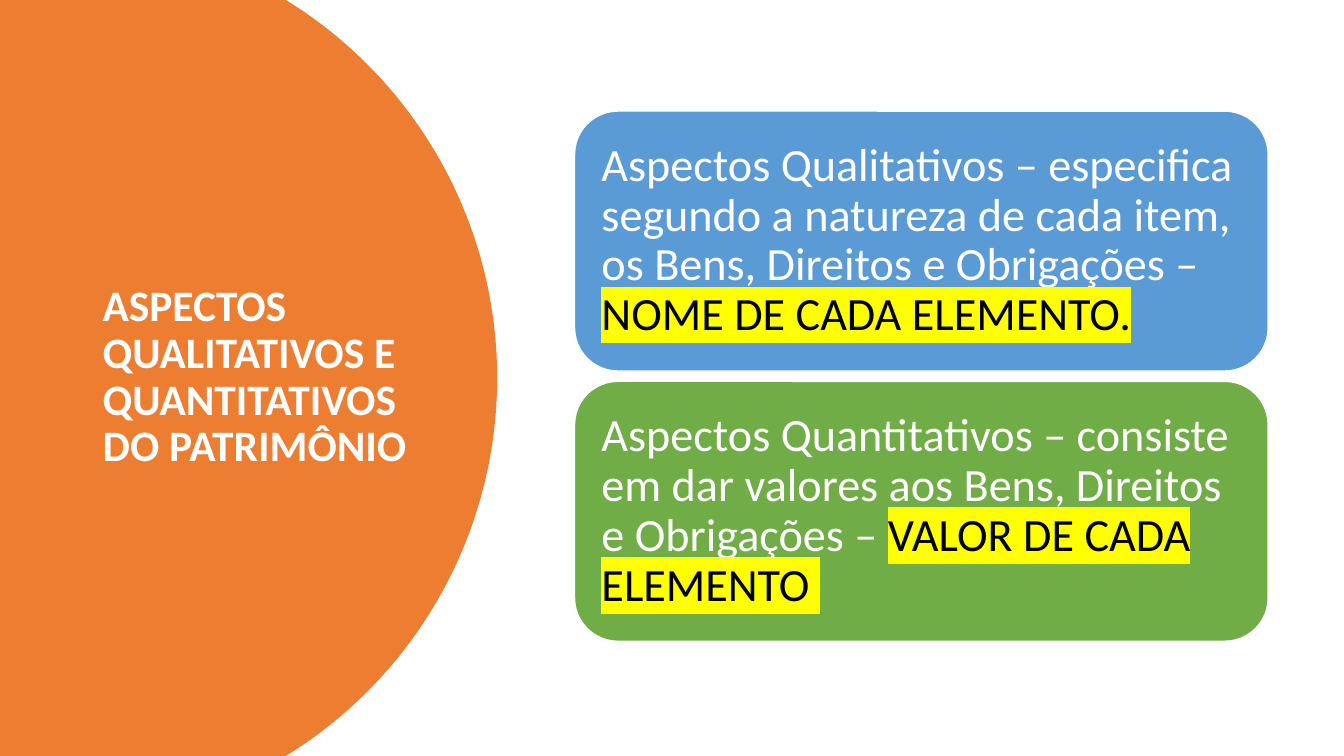
from dataclasses import dataclass
from math import asin, cos, sin

from lxml import etree
from pptx import Presentation
from pptx.dml.color import RGBColor
from pptx.enum.shapes import MSO_SHAPE
from pptx.enum.text import MSO_ANCHOR, PP_ALIGN
from pptx.oxml.ns import qn
from pptx.util import Cm, Pt

ROUND = MSO_SHAPE.ROUNDED_RECTANGLE
MIDDLE = MSO_ANCHOR.MIDDLE
LEFT = PP_ALIGN.LEFT


@dataclass(frozen=True)
class Theme:
    face: str = "Calibri"
    white: str = "FFFFFF"
    black: str = "000000"
    orange: str = "ED7D31"
    blue: str = "5B9BD5"
    green: str = "70AD47"
    yellow: str = "FFFF00"
    title: int = 31
    body: int = 33


@dataclass(frozen=True)
class Card:
    fill: str
    text: str
    mark: str


THEME = Theme()
WIDE, HIGH = 33.87, 19.05
CARDS = [
    Card(THEME.blue,
         "Aspectos Qualitativos – especifica segundo a natureza de cada item, "
         "os Bens, Direitos e Obrigações – ",
         "NOME DE CADA ELEMENTO."),
    Card(THEME.green,
         "Aspectos Quantitativos – consiste em dar valores aos Bens, "
         "Direitos e Obrigações – ",
         "VALOR DE CADA ELEMENTO "),
]


def apply(target, values: dict) -> None:
    for name, value in values.items():
        setattr(target, name, value)


def paint(shape, color: str) -> None:
    shape.shadow.inherit = False
    shape.fill.solid()
    shape.fill.fore_color.rgb = RGBColor.from_string(color)


def setup(frame, inset: dict):
    apply(frame, {"word_wrap": True, "vertical_anchor": MIDDLE} | inset)
    para = frame.paragraphs[0]
    apply(para, {"line_spacing": 0.9, "alignment": LEFT})
    return para


def write(para, text: str, size: int, color: str, bold: bool = False):
    run = para.add_run()
    run.text = text
    apply(run.font, {"name": THEME.face, "size": Pt(size), "bold": bold})
    run.font.color.rgb = RGBColor.from_string(color)
    return run


def mark(run, color: str) -> None:
    fill = run.font._element.find(qn("a:solidFill"))
    light = etree.Element(qn("a:highlight"))
    etree.SubElement(light, qn("a:srgbClr"), val=color)
    fill.addnext(light)


def draw_disc(slide) -> None:
    center, radius, steps = 1.35, 11.18, 120
    half = asin(HIGH / 2 / radius)
    turns = [half * (2 * i / steps - 1) for i in range(steps + 1)]
    rim = [(Cm(center + radius * cos(turn)), Cm(HIGH / 2 + radius * sin(turn)))
           for turn in turns]
    path = slide.shapes.build_freeform(0, 0)
    path.add_line_segments(rim + [(0, Cm(HIGH))], close=True)
    disc = path.convert_to_shape()
    paint(disc, THEME.orange)
    disc.line.fill.background()


def draw_title(slide) -> None:
    box = slide.shapes.add_textbox(Cm(2.34), Cm(1.78), Cm(8.2), Cm(15.47))
    para = setup(box.text_frame, {})
    write(para, "ASPECTOS QUALITATIVOS E QUANTITATIVOS DO PATRIMÔNIO",
          THEME.title, THEME.white, True)


def draw_card(slide, card: Card, top: float) -> None:
    box = slide.shapes.add_shape(ROUND, Cm(14.48), Cm(top), Cm(17.48), Cm(6.55))
    paint(box, card.fill)
    box.line.color.rgb = RGBColor.from_string(THEME.white)
    box.line.width = Pt(1)
    sides = ("left", "top", "right", "bottom")
    para = setup(box.text_frame, {f"margin_{side}": Cm(0.36) for side in sides})
    write(para, card.text, THEME.body, THEME.white)
    mark(write(para, card.mark, THEME.body, THEME.black), THEME.yellow)


def main() -> None:
    deck = Presentation()
    apply(deck, {"slide_width": Cm(WIDE), "slide_height": Cm(HIGH)})
    slide = deck.slides.add_slide(deck.slide_layouts[6])
    draw_disc(slide)
    draw_title(slide)
    for index, card in enumerate(CARDS):
        draw_card(slide, card, 2.8 + 6.81 * index)
    deck.save("out.pptx")


if __name__ == "__main__":
    main()
